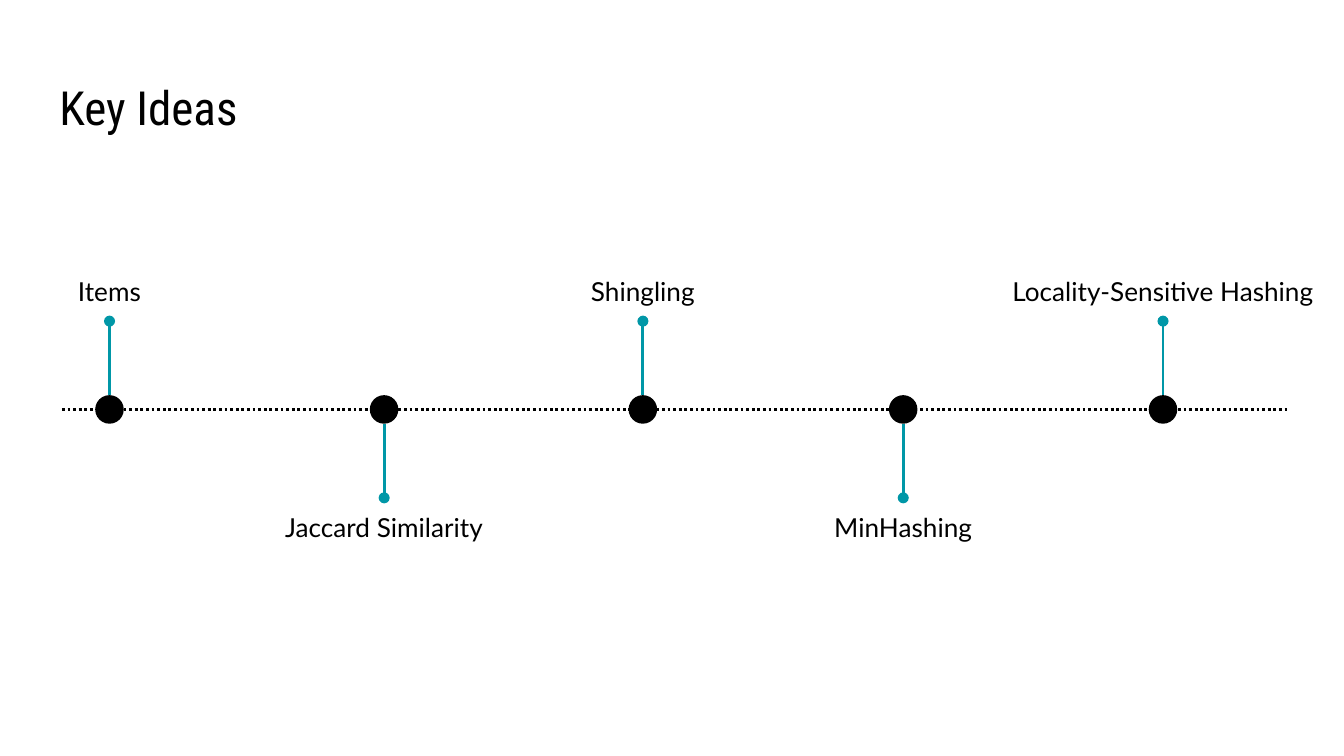
from lxml import etree
from pptx import Presentation
from pptx.dml.color import RGBColor
from pptx.enum.dml import MSO_LINE_DASH_STYLE as Dash
from pptx.enum.shapes import MSO_CONNECTOR as Link, MSO_SHAPE as Shape
from pptx.enum.text import MSO_ANCHOR as Anchor, MSO_AUTO_SIZE as AutoSize, PP_ALIGN as Align
from pptx.oxml.ns import qn
from pptx.util import Cm, Pt

BLACK = "000000"
TEAL = "0097A7"
DOT = 0.54    # dot diameter, cm
REACH = 1.67  # from the axis to the end of a stem, cm
LABEL_HEIGHT = 1.12

# label, centre of the dot (cm), label width (cm)
IDEAS = [
    ("Items", 2.07, 3.15),
    ("Jaccard Similarity", 7.26, 4.5),
    ("Shingling", 12.15, 6.25),
    ("MinHashing", 17.07, 4.17),
    ("Locality-Sensitive Hashing", 21.98, 7.09),
]


def color(hex_text):
    return RGBColor.from_string(hex_text)


def write(box, text, font, size, ink=BLACK, align=Align.LEFT, anchor=Anchor.TOP,
          wrap=True, fit=AutoSize.NONE):
    frame = box.text_frame
    frame.word_wrap = wrap
    frame.auto_size = fit
    frame.vertical_anchor = anchor
    frame.margin_left = frame.margin_right = Cm(0.25)
    frame.margin_top = frame.margin_bottom = Cm(0.25)
    para = frame.paragraphs[0]
    para.alignment = align
    span = para.add_run()
    span.text = text
    span.font.name = font
    span.font.size = Pt(size)
    span.font.color.rgb = color(ink)


def add_line(shapes, start, end, ink, dash=None, oval_end=False):
    line = shapes.add_connector(Link.STRAIGHT, *(Cm(v) for v in (*start, *end)))
    line.line.color.rgb = color(ink)
    line.line.width = Pt(1.5)
    if dash:
        line.line.dash_style = dash
    if oval_end:
        outline = line.line._get_or_add_ln()
        etree.SubElement(outline, qn("a:tailEnd"), type="oval")
    etree.SubElement(line._element.spPr, qn("a:effectLst"))


def add_title(page, text, left, top, width, height):
    title = page.shapes.title
    title.left, title.top = Cm(left), Cm(top)
    title.width, title.height = Cm(width), Cm(height)
    write(title, text, "Roboto Condensed", 25.2)


def add_milestone(page, text, center, axis, width, up):
    """A dot on the axis, with a stem and a label above or below it."""
    side = -1 if up else 1
    tip = axis + side * REACH
    marker = page.shapes.add_group_shape()
    dot = marker.shapes.add_shape(Shape.OVAL, Cm(center - DOT / 2), Cm(axis - DOT / 2),
                                  Cm(DOT), Cm(DOT))
    dot.shadow.inherit = False
    dot.fill.solid()
    dot.fill.fore_color.rgb = color(BLACK)
    dot.line.fill.background()
    add_line(marker.shapes, (center, axis + side * DOT / 2), (center, tip), TEAL,
             oval_end=True)

    label_top = tip - LABEL_HEIGHT if up else tip
    label = page.shapes.add_textbox(Cm(center - width / 2), Cm(label_top),
                                    Cm(width), Cm(LABEL_HEIGHT))
    write(label, text, "Lato", 14, align=Align.CENTER, fit=AutoSize.SHAPE_TO_FIT_TEXT)


def add_timeline(page, ideas, left, top, width, height):
    axis = top + height / 2
    add_line(page.shapes, (left, axis), (left + width, axis), BLACK, dash=Dash.ROUND_DOT)
    for index, (text, center, label_width) in enumerate(ideas):
        add_milestone(page, text, center, axis, label_width, up=index % 2 == 0)


def main():
    deck = Presentation()
    deck.slide_width, deck.slide_height = Cm(25.4), Cm(14.29)
    page = deck.slides.add_slide(deck.slide_layouts[5])
    add_title(page, "Key Ideas", 0.87, 1.24, 23.67, 1.59)
    add_timeline(page, IDEAS, 1.17, 4.95, 23.16, 5.58)
    deck.save("out.pptx")


if __name__ == "__main__":
    main()
